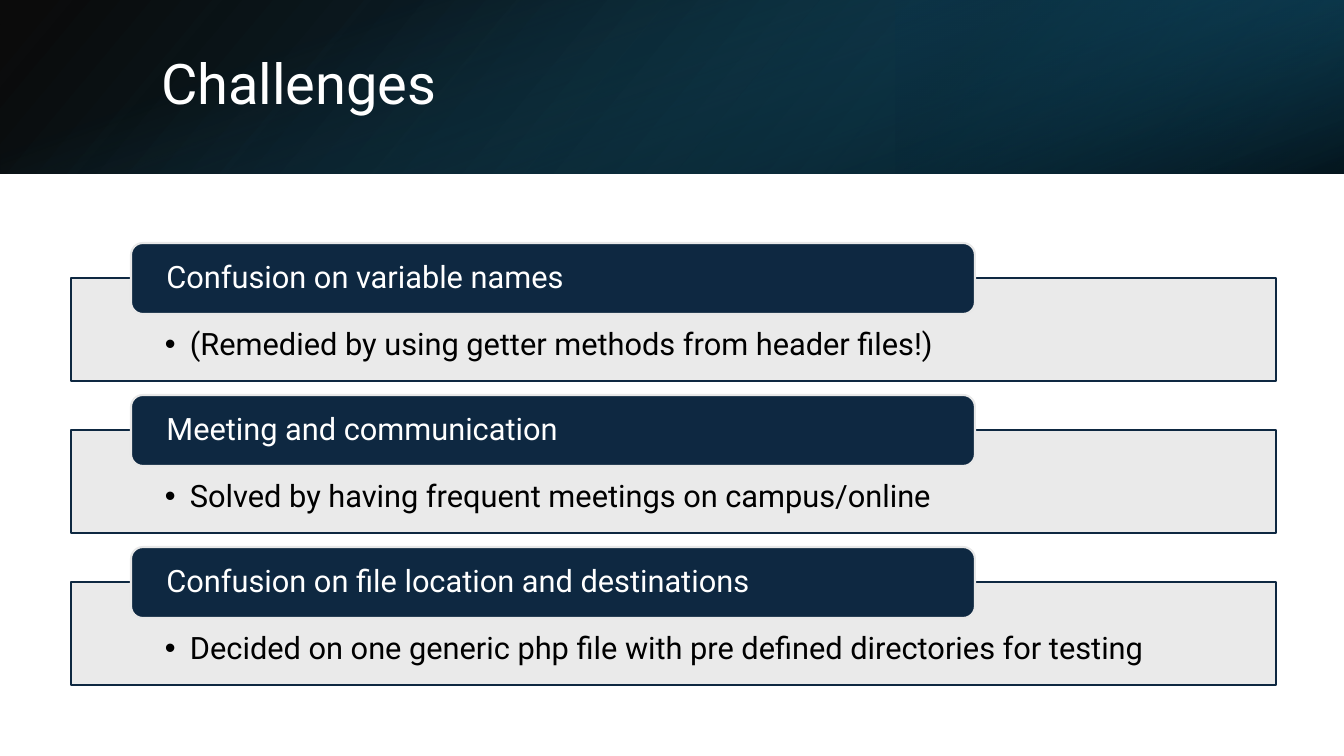
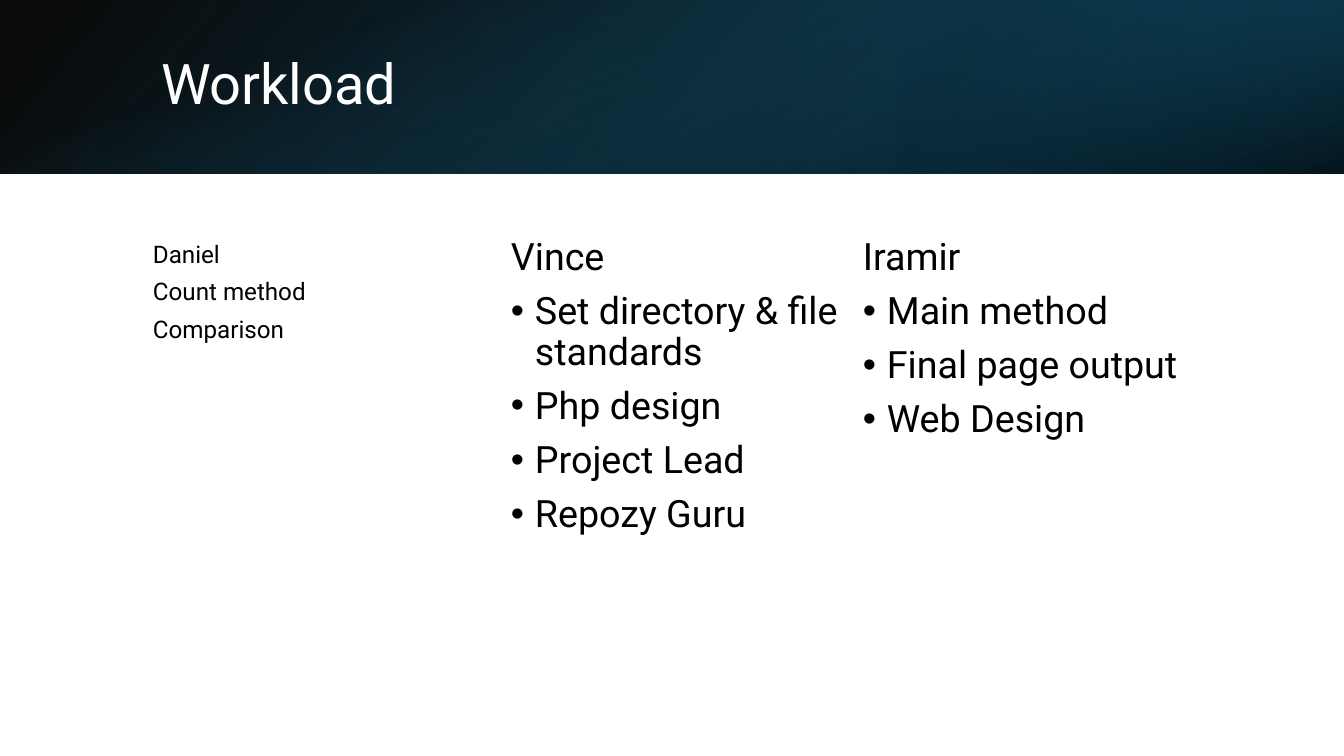
from dataclasses import dataclass

from lxml.etree import SubElement
from pptx import Presentation
from pptx.dml.color import RGBColor
from pptx.enum.shapes import MSO_SHAPE as Preset
from pptx.enum.text import MSO_ANCHOR as Anchor, PP_ALIGN as Align
from pptx.oxml import parse_xml
from pptx.oxml.ns import nsdecls, qn
from pptx.util import Pt

SLIDE_W, SLIDE_H = 1344, 756
BAND_H = 174
EMU_PER_PX = 914400 / 100.8


@dataclass(frozen=True)
class Theme:
    font: str = "Roboto"
    white: str = "FFFFFF"
    black: str = "000000"
    navy: str = "0E2841"
    grey: str = "E8E8E8"
    teal: str = "156082"
    teal_mid: str = "104862"
    teal_dark: str = "0B3041"
    title_size: float = 40
    challenge_size: float = 22
    column_size: float = 26.9
    small_size: float = 17.3
    outline: float = 1.5


THEME = Theme()
PADDING = (10, 5, 10, 5)
TITLE_BOX = (151, 38, 1107, 97)

CHALLENGES = [
    ("Confusion on variable names",
     "(Remedied by using getter methods from header files!)"),
    ("Meeting and communication",
     "Solved by having frequent meetings on campus/online"),
    ("Confusion on file location and destinations",
     "Decided on one generic php file with pre defined directories for testing"),
]
PANEL_X, PANEL_Y, PANEL_W, PANEL_H = 71, 278, 1205, 103
PANEL_PITCH = 152
HEADING_X, HEADING_W, HEADING_H = 131, 844, 71
HEADING_RISE = 35

COLUMN_W, COLUMN_H = 352, 461
DANIEL = ["Daniel", "Count method", "Comparison"]
TEAM = [
    ["Vince", "Set directory & file standards", "Php design",
     "Project Lead", "Repozy Guru"],
    ["Iramir", "Main method", "Final page output", "Web Design"],
]
TEAM_X, TEAM_Y = 501, 233


def px(length):
    return round(length * EMU_PER_PX)


def place(box):
    return [px(length) for length in box]


def set_bullet(paragraph, indent):
    properties = paragraph._p.get_or_add_pPr()
    properties.set("marL", str(px(indent)))
    properties.set("indent", str(-px(indent)))
    SubElement(properties, qn("a:buFont")).set("typeface", "Arial")
    SubElement(properties, qn("a:buChar")).set("char", "•")


def write(shape, lines, size, color, padding=PADDING, anchor=Anchor.TOP,
          bullet_from=None, indent=0, **spacing):
    frame = shape.text_frame
    sides = ("margin_left", "margin_top", "margin_right", "margin_bottom")
    layout = dict(zip(sides, place(padding)), word_wrap=True, vertical_anchor=anchor)
    for name, value in layout.items():
        setattr(frame, name, value)
    for number, line in enumerate(lines):
        paragraph = frame.add_paragraph() if number else frame.paragraphs[0]
        for name, value in dict(alignment=Align.LEFT, **spacing).items():
            setattr(paragraph, name, value)
        if bullet_from is not None and number >= bullet_from:
            set_bullet(paragraph, indent)
        run = paragraph.add_run()
        run.text = line
        run.font.name, run.font.size = THEME.font, Pt(size)
        run.font.color.rgb = RGBColor.from_string(color)


def add_text(slide, box, lines, size, color, **style):
    write(slide.shapes.add_textbox(*place(box)), lines, size, color, **style)


def add_block(slide, preset, box, fill, line, opacity=100):
    block = slide.shapes.add_shape(preset, *place(box))
    block.shadow.inherit = False
    block.fill.solid()
    block.fill.fore_color.rgb = RGBColor.from_string(fill)
    block.line.color.rgb = RGBColor.from_string(line)
    block.line.width = Pt(THEME.outline)
    if opacity < 100:
        color = block.element.spPr.find(qn("a:solidFill")).find(qn("a:srgbClr"))
        SubElement(color, qn("a:alpha")).set("val", str(opacity * 1000))
    return block


def add_gradient(slide, box, stops, angle, rotation=0, flipped=False):
    layer = slide.shapes.add_shape(Preset.RECTANGLE, *place(box))
    layer.shadow.inherit = False
    layer.rotation = rotation
    layer.line.fill.background()
    layer.fill.background()
    properties = layer.element.spPr
    if flipped:
        properties.find(qn("a:xfrm")).set("flipH", "1")
    marks = "".join(
        f'<a:gs pos="{position * 1000}"><a:srgbClr val="{color}">'
        f'<a:alpha val="{opacity * 1000}"/></a:srgbClr></a:gs>'
        for position, color, opacity in stops)
    gradient = parse_xml(
        f'<a:gradFill {nsdecls("a")} rotWithShape="1"><a:gsLst>{marks}</a:gsLst>'
        f'<a:lin ang="{angle * 60000}" scaled="0"/></a:gradFill>')
    properties.replace(properties.find(qn("a:noFill")), gradient)


def add_titled_slide(deck, title):
    slide = deck.slides.add_slide(deck.slide_layouts[6])
    add_gradient(slide, (0, 0, SLIDE_W, BAND_H),
                 [(0, THEME.black, 96), (100, THEME.teal_mid, 100)],
                 140, flipped=True)
    add_gradient(slide, (SLIDE_W * 2 // 3, 0, SLIDE_W // 3, BAND_H),
                 [(19, THEME.teal_dark, 68), (100, THEME.teal, 79)],
                 320, rotation=180, flipped=True)
    turn = (SLIDE_W - BAND_H) // 2
    add_gradient(slide, (turn, -turn, BAND_H, SLIDE_W),
                 [(23, THEME.teal, 0), (99, THEME.black, 74)],
                 340, rotation=90)
    add_text(slide, TITLE_BOX, [title], THEME.title_size, THEME.white,
             anchor=Anchor.MIDDLE, line_spacing=0.9)
    return slide


def add_challenge(slide, top, heading, remedy):
    panel = add_block(slide, Preset.RECTANGLE, (PANEL_X, top, PANEL_W, PANEL_H),
                      THEME.grey, THEME.navy, opacity=90)
    write(panel, [remedy], THEME.challenge_size, THEME.black,
          padding=(94, 51, 94, 17), bullet_from=0, indent=25, line_spacing=0.9)
    tab = add_block(slide, Preset.ROUNDED_RECTANGLE,
                    (HEADING_X, top - HEADING_RISE, HEADING_W, HEADING_H),
                    THEME.navy, THEME.grey)
    write(tab, [heading], THEME.challenge_size, THEME.white,
          padding=(32, 0, 32, 0), anchor=Anchor.MIDDLE, line_spacing=0.9)


def build_challenges(deck):
    slide = add_titled_slide(deck, "Challenges")
    for row, (heading, remedy) in enumerate(CHALLENGES):
        add_challenge(slide, PANEL_Y + row * PANEL_PITCH, heading, remedy)


def build_workload(deck):
    slide = add_titled_slide(deck, "Workload")
    add_text(slide, (143, 234, COLUMN_W, COLUMN_H), DANIEL,
             THEME.small_size, THEME.black, space_after=Pt(6))
    for column, tasks in enumerate(TEAM):
        add_text(slide, (TEAM_X + column * COLUMN_W, TEAM_Y, COLUMN_W, COLUMN_H),
                 tasks, THEME.column_size, THEME.black, bullet_from=1, indent=24,
                 line_spacing=0.9, space_before=Pt(9.6))


def main():
    deck = Presentation()
    deck.slide_width, deck.slide_height = px(SLIDE_W), px(SLIDE_H)
    build_challenges(deck)
    build_workload(deck)
    deck.save("out.pptx")


if __name__ == "__main__":
    main()
